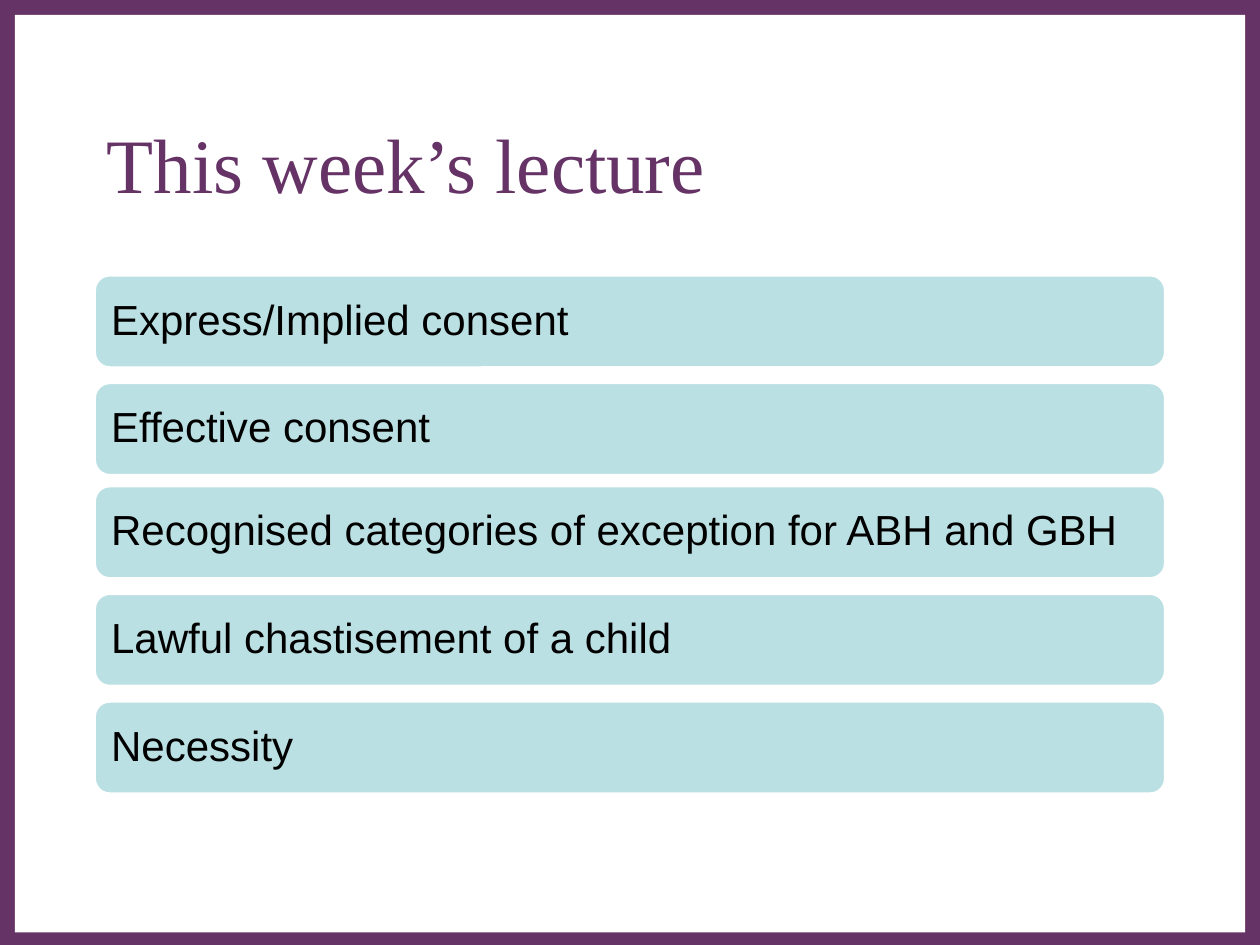
import pptx
import pptx.util
import pptx.dml.color
import pptx.enum.shapes
import pptx.enum.text

Cm = pptx.util.Cm
Pt = pptx.util.Pt
SHAPES = pptx.enum.shapes.MSO_SHAPE
COLOURS = {"purple": "663366", "white": "FFFFFF", "aqua": "BBE0E3", "black": "000000"}


def colour(name):
    return pptx.dml.color.RGBColor.from_string(COLOURS[name])


def write_text(shape, text, font="Arial", size=24, ink="black", spacing=1.0):
    """Fill a shape with one left-aligned, vertically centred paragraph."""
    frame = shape.text_frame
    frame.word_wrap = True
    frame.vertical_anchor = pptx.enum.text.MSO_ANCHOR.MIDDLE
    paragraph = frame.paragraphs[0]
    paragraph.text = text
    paragraph.alignment = pptx.enum.text.PP_ALIGN.LEFT
    paragraph.line_spacing = spacing
    paragraph.font.name = font
    paragraph.font.size = Pt(size)
    paragraph.font.color.rgb = colour(ink)


presentation = pptx.Presentation()
presentation.slide_width = Cm(25.4)
presentation.slide_height = Cm(19.05)
slide = presentation.slides.add_slide(presentation.slide_layouts[6])

# Purple frame around a white page
for left, width, height, fill in [(0, 25.4, 19.1, "purple"), (0.3, 24.8, 18.5, "white")]:
    panel = slide.shapes.add_shape(
        SHAPES.RECTANGLE, Cm(left), Cm(left), Cm(width), Cm(height))
    panel.shadow.inherit = False
    panel.fill.solid()
    panel.fill.fore_color.rgb = colour(fill)
    panel.line.fill.background()

title = slide.shapes.add_textbox(Cm(1.9), Cm(1.7), Cm(21.6), Cm(3.18))
write_text(title, "This week’s lecture", font="Times New Roman", size=44, ink="purple")

# Topic bars; the third sits closer to the second
topics = [
    (5.54, "Express/Implied consent"),
    (7.71, "Effective consent"),
    (9.79, "Recognised categories of exception for ABH and GBH"),
    (11.96, "Lawful chastisement of a child"),
    (14.13, "Necessity"),
]
for top, topic in topics:
    bar = slide.shapes.add_shape(
        SHAPES.ROUNDED_RECTANGLE, Cm(1.9), Cm(top), Cm(21.6), Cm(1.88))
    bar.shadow.inherit = False
    bar.fill.solid()
    bar.fill.fore_color.rgb = colour("aqua")
    bar.line.color.rgb = colour("white")
    bar.line.width = Pt(2)
    write_text(bar, topic, spacing=0.9)

presentation.save("out.pptx")
